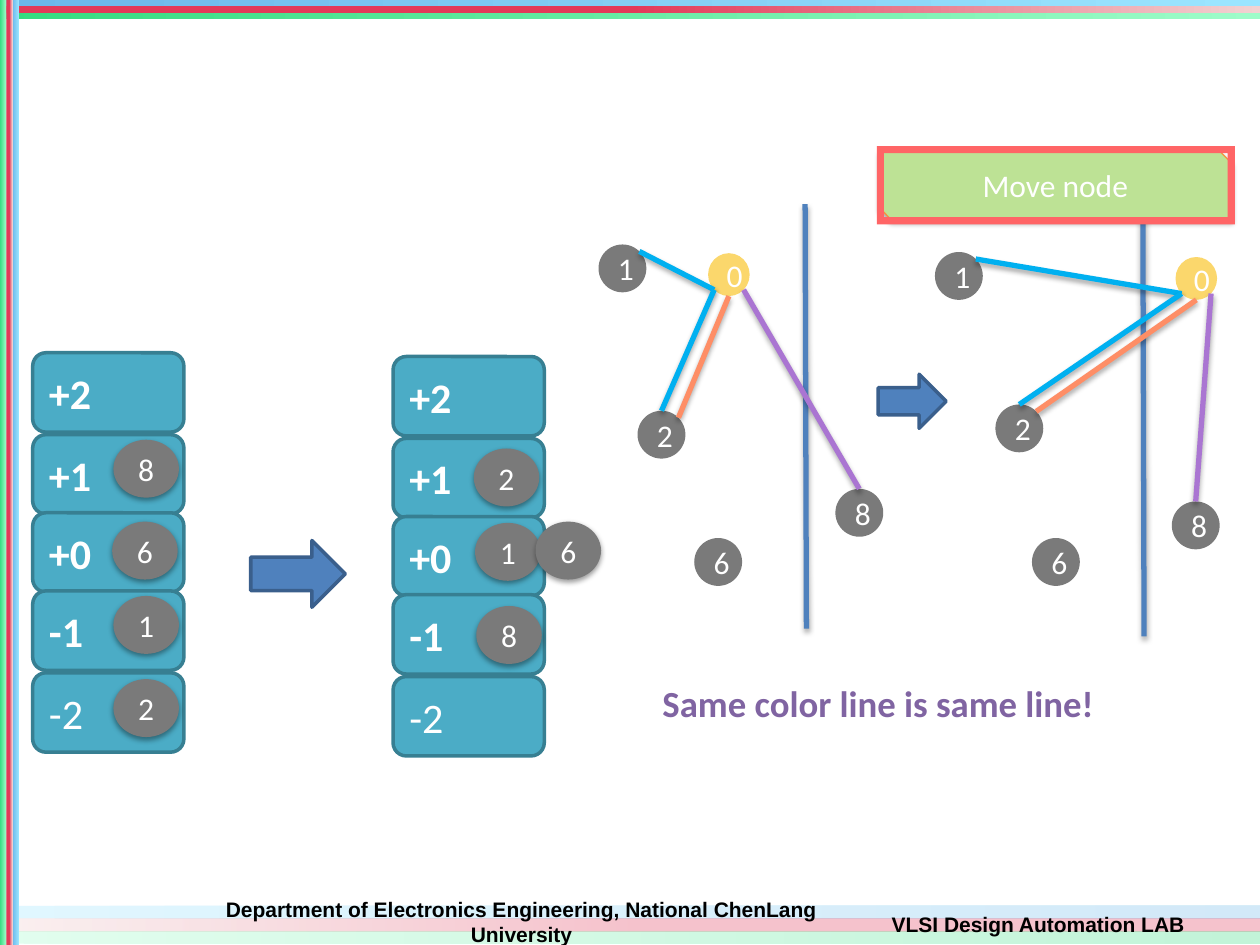
from dataclasses import dataclass
from math import cos, pi, sin
from typing import NamedTuple, Optional

from lxml.etree import SubElement
from pptx import Presentation
from pptx.dml.color import RGBColor
from pptx.enum.shapes import MSO_CONNECTOR, MSO_SHAPE as Geo
from pptx.enum.text import MSO_ANCHOR as Anchor, PP_ALIGN as Align
from pptx.oxml.ns import qn
from pptx.util import Inches, Pt

COLS, ROWS = 100, 75
WHITE = RGBColor(0xFF, 0xFF, 0xFF)
BLACK = RGBColor(0x00, 0x00, 0x00)
GRAY = RGBColor(0x7A, 0x7A, 0x7A)
YELLOW = RGBColor(0xFB, 0xD7, 0x6C)
TEAL = RGBColor(0x4B, 0xAC, 0xC6)
TEAL_DARK = RGBColor(0x37, 0x7F, 0x92)
BLUE = RGBColor(0x4F, 0x81, 0xBD)
BLUE_DARK = RGBColor(0x3A, 0x5F, 0x8C)
SKY = RGBColor(0x00, 0xB0, 0xF0)
ORANGE = RGBColor(0xFE, 0x8E, 0x66)
ORANGE_EDGE = RGBColor(0xF6, 0x92, 0x40)
VIOLET = RGBColor(0xAA, 0x75, 0xD2)
PURPLE = RGBColor(0x80, 0x64, 0xA2)
LIME = RGBColor(0xBD, 0xE2, 0x95)
CORAL = RGBColor(0xFF, 0x65, 0x66)
GREEN_BAND = ((0, RGBColor(0x35, 0xDB, 0x80)), (1, RGBColor(0x9E, 0xFC, 0xC9)))
RED_BAND = ((0.5, RGBColor(0xE3, 0x39, 0x59)), (1, RGBColor(0xF2, 0xD2, 0xD2)))
BLUE_BAND = ((0, RGBColor(0x6C, 0xB7, 0xEA)), (1, RGBColor(0x9B, 0xE5, 0xFF)))

prs = Presentation()
prs.slide_width, prs.slide_height = Inches(10), Inches(7.5)
shapes = prs.slides.add_slide(prs.slide_layouts[6]).shapes


class Box(NamedTuple):
    x: float
    y: float
    w: float
    h: float

    def emu(self) -> list[int]:
        cw, ch = prs.slide_width / COLS, prs.slide_height / ROWS
        return [round(v * u) for v, u in zip(self, (cw, ch, cw, ch))]

    def site(self, i: int) -> tuple[float, float]:
        a = i * pi / 4
        return (self.x + self.w / 2 * (1 - sin(a)),
                self.y + self.h / 2 * (1 - cos(a)))


class Edge(NamedTuple):
    start_site: int
    end: str
    end_site: int
    color: RGBColor


@dataclass
class Graph:
    divider: tuple[float, float, float, float]
    nodes: dict[str, Box]


@dataclass
class Bucket:
    x: float
    y: float
    cells: dict[str, Box]


def shadow(sp_pr, alpha: int, dist: float) -> None:
    effects = sp_pr.find(qn("a:effectLst"))
    if effects is None:
        effects = SubElement(sp_pr, qn("a:effectLst"))
    outer = SubElement(effects, qn("a:outerShdw"), blurRad=str(Pt(3.1)),
                       dist=str(Pt(dist)), dir="5400000", rotWithShape="0")
    color = SubElement(outer, qn("a:srgbClr"), val=str(BLACK))
    SubElement(color, qn("a:alpha"), val=str(alpha * 1000))


def write(s, text: str, size: float, color: RGBColor = WHITE, bold: bool = False,
          align: Align = Align.CENTER, font: str = "Calibri",
          wrap: bool = True, anchor: Anchor = Anchor.MIDDLE) -> None:
    tf = s.text_frame
    tf.word_wrap, tf.vertical_anchor = wrap, anchor
    p = tf.paragraphs[0]
    p.alignment = align
    r = p.add_run()
    r.text = text
    for name, value in {"name": font, "size": Pt(size), "bold": bold}.items():
        setattr(r.font, name, value)
    r.font.color.rgb = color


def draw(geo: Geo, box: Box, fill: Optional[RGBColor] = None,
         edge: Optional[RGBColor] = None, width: float = 2):
    s = shapes.add_shape(geo, *box.emu())
    s.shadow.inherit = False
    if fill is not None:
        s.fill.solid()
        s.fill.fore_color.rgb = fill
    if edge is None:
        s.line.fill.background()
    else:
        s.line.color.rgb = edge
        s.line.width = Pt(width)
    return s


def band(box: Box, stops, alpha: int = 100, flip: bool = False) -> None:
    s = draw(Geo.RECTANGLE, box)
    s.fill.gradient()
    s.fill.gradient_angle = 0
    if flip:
        stops = [(1 - at, color) for at, color in reversed(stops)]
    for stop, (at, color) in zip(s.fill.gradient_stops, stops):
        stop.position, stop.color.rgb = at, color
    for color in s._element.spPr.iter(qn("a:srgbClr")):
        SubElement(color, qn("a:alpha"), val=str(alpha * 1000))


def line(start: tuple, end: tuple, color: RGBColor) -> None:
    ends = Box(*start, *end).emu()
    c = shapes.add_connector(MSO_CONNECTOR.STRAIGHT, *ends)
    c.line.color.rgb, c.line.width = color, Pt(3)
    shadow(c._element.spPr, 35, 1.8)


def label(box: Box, text: str, size: float, **style) -> None:
    write(shapes.add_textbox(*box.emu()), text, size, **style)


def node(text: str, box: Box, fill: RGBColor = GRAY):
    s = draw(Geo.FLOWCHART_CONNECTOR, box, fill)
    write(s, text, 18)
    return s


def draw_bucket(b: Bucket) -> None:
    for gain, dy in GAINS.items():
        s = draw(Geo.ROUNDED_RECTANGLE, Box(b.x, b.y + dy, 12, 6.3), TEAL, TEAL_DARK)
        write(s, gain, 24, bold=gain != "-2", align=Align.LEFT)
    for text, box in b.cells.items():
        shadow(node(text, box)._element.spPr, 38, 1.6)


def draw_graph(g: Graph) -> None:
    line(g.divider[:2], g.divider[2:], BLUE)
    for text, box in g.nodes.items():
        node(text, box, YELLOW if text == "0" else GRAY)
    for e in EDGES:
        line(g.nodes["0"].site(e.start_site), g.nodes[e.end].site(e.end_site), e.color)


def cell(x: float, y: float) -> Box:
    return Box(x, y, 5.2, 4.6)


def dot(x: float, y: float) -> Box:
    return Box(x, y, 3.8, 3.8)


GAINS = {"+2": 0, "+1": 6.5, "+0": 12.7, "-1": 18.9, "-2": 25.4}
EDGES = (Edge(3, "1", 7, SKY), Edge(4, "2", 7, ORANGE),
         Edge(3, "2", 0, SKY), Edge(5, "8", 0, VIOLET))
BUCKETS = (
    Bucket(2.6, 28, {"8": cell(9, 34.9), "6": cell(8.9, 41.4),
                     "1": cell(9, 47.3), "2": cell(9, 53.9)}),
    Bucket(31.2, 28.3, {"1": cell(37.7, 41.5), "8": cell(37.8, 48.1),
                        "2": cell(37.6, 35.6), "6": cell(42.5, 41.4)}),
)
GRAPHS = (
    Graph((63.9, 16.2, 64, 49.9),
          {"1": dot(47.5, 19.4), "0": Box(56.2, 20.1, 3.3, 3.4),
           "8": dot(66.3, 38.8), "6": dot(55.1, 42.7), "2": dot(50.6, 32.6)}),
    Graph((90.7, 14.5, 90.8, 50.5),
          {"1": dot(74.2, 20), "0": Box(93.3, 20.4, 3.3, 3.4),
           "8": dot(93, 39.8), "6": dot(81.9, 42.7), "2": dot(79, 32.1)}),
)
FOOTERS = {
    "Department of Electronics Engineering, National ChenLang University":
        Box(15.6, 72.9, 51.6, 0.5),
    "VLSI Design Automation LAB": Box(68.8, 72.9, 27.2, 0.8),
}

for i, stops in enumerate((BLUE_BAND, RED_BAND, GREEN_BAND)):
    band(Box(0, 71.9 + i, COLS, 1), stops, 30, flip=True)
for text, box in FOOTERS.items():
    label(box, text, 12, color=BLACK, bold=True, font="Arial", wrap=False)
for i, stops in enumerate((BLUE_BAND, RED_BAND, GREEN_BAND)):
    band(Box(0, i * 0.5, COLS, 0.5), stops)
for i, stops in enumerate((GREEN_BAND, RED_BAND, BLUE_BAND)):
    band(Box(i * 0.5, 0, 0.5, ROWS), stops)

for bucket in BUCKETS:
    draw_bucket(bucket)
for graph in GRAPHS:
    draw_graph(graph)
for box in (Box(19.9, 42.9, 7.5, 5.3), Box(69.7, 29.7, 5.4, 4.3)):
    draw(Geo.RIGHT_ARROW, box, BLUE, BLUE_DARK)

label(Box(51.6, 53.5, 42.7, 4.3), "Same color line is same line!", 21,
      color=PURPLE, bold=True, align=Align.LEFT, anchor=Anchor.TOP)
title = draw(Geo.SNIP_2_DIAG_RECTANGLE, Box(69.8, 12, 27.9, 5.4), LIME, ORANGE_EDGE, 0.75)
shadow(title._element.spPr, 35, 1.8)
write(title, "Move node", 18)
frame = draw(Geo.FRAME, Box(69.6, 11.6, 28.4, 6.2), CORAL)
frame.adjustments[0] = 0.09

prs.save("out.pptx")
